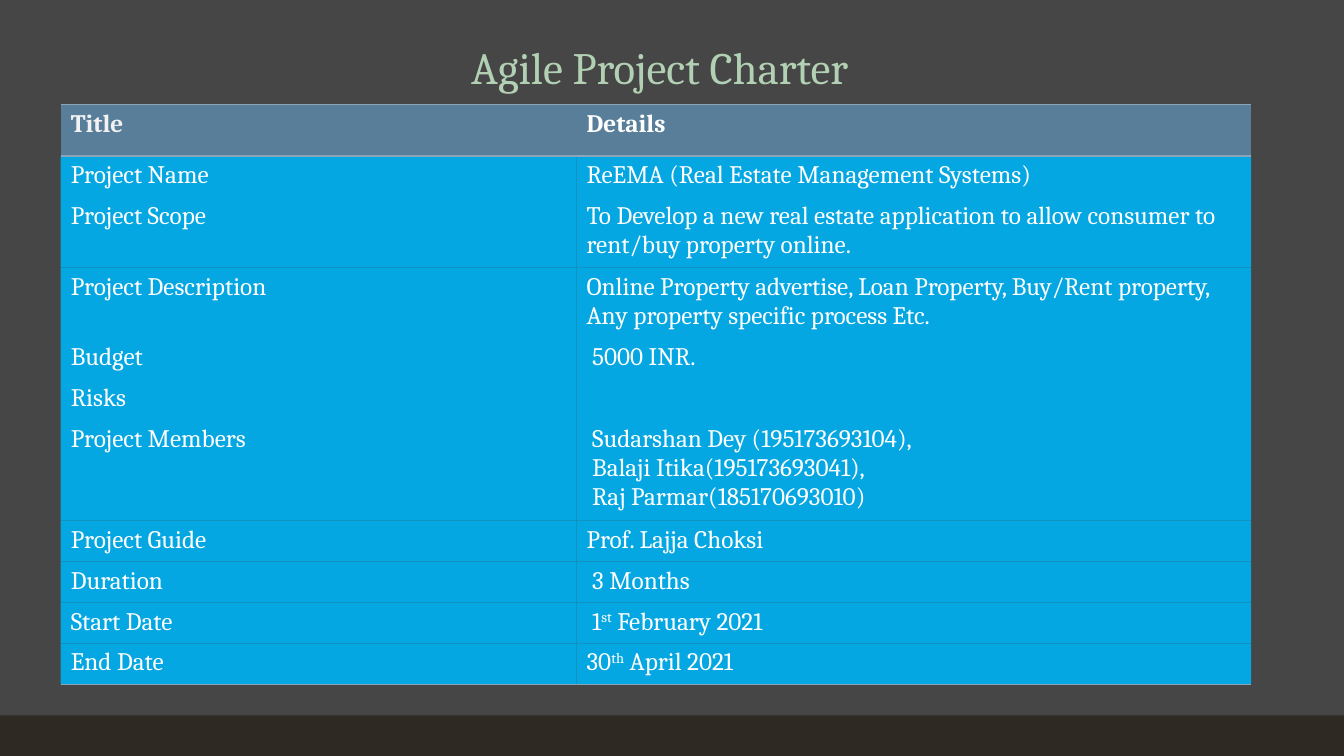
from dataclasses import dataclass

from lxml.etree import SubElement
from pptx import Presentation
from pptx.dml.color import RGBColor
from pptx.enum.shapes import MSO_SHAPE
from pptx.enum.text import MSO_ANCHOR, PP_ALIGN
from pptx.oxml import parse_xml
from pptx.oxml.ns import nsdecls, qn
from pptx.util import Cm, Pt

NO_STYLE_NO_GRID = "{2D5ABB26-0587-4C30-8999-92F81FD0307C}"


@dataclass(frozen=True)
class Theme:
    font: str = "Cambria"
    title_size: int = 32
    body_size: int = 18
    background: str = "464646"
    footer: str = "2E2923"
    title: str = "B2D0B4"
    header_fill: str = "597E99"
    first_header: str = "F2F2F2"
    text: str = "FFFFFF"
    body_fill: str = "00B0F0"
    body_opacity: int = 92
    rule: str = "88A5BA"


# Each detail is a list of paragraphs; each paragraph is a list of runs.
# A run that starts with ^ is superscript.
CHARTER = [
    ("Project Name", [["ReEMA (Real Estate Management Systems)"]]),
    ("Project Scope", [["To Develop a new real estate application to allow "
                        "consumer to rent/buy property online."]]),
    ("Project Description", [["Online Property advertise, Loan Property, Buy/Rent "
                              "property, Any property specific process Etc."]]),
    ("Budget", [[" 5000 INR."]]),
    ("Risks", []),
    ("Project Members", [[" Sudarshan Dey (195173693104),"],
                         [" Balaji Itika(195173693041),"],
                         [" Raj Parmar(185170693010)"]]),
    ("Project Guide", [["Prof. Lajja Choksi"]]),
    ("Duration", [[" 3 Months"]]),
    ("Start Date", [[" 1", "^st", " February 2021"]]),
    ("End Date", [["30", "^th", " April 2021"]]),
]


class Deck:
    def __init__(self, theme):
        self.theme = theme
        self.prs = Presentation()
        self.prs.slide_width, self.prs.slide_height = Cm(33.87), Cm(19.05)
        self.slide = self.prs.slides.add_slide(self.prs.slide_layouts[6])
        self.paint(self.slide.background.fill, theme.background)

    def paint(self, fill, color):
        fill.solid()
        fill.fore_color.rgb = RGBColor.from_string(color)

    def add_run(self, p, text, size, color, bold=False):
        r = p.add_run()
        r.text = text.removeprefix("^")
        r.font.name = self.theme.font
        r.font.size = Pt(size)
        r.font.bold = bold
        r.font.color.rgb = RGBColor.from_string(color)
        if text.startswith("^"):
            r.font._element.set("baseline", "30000")

    def add_bar(self, left, top, width, height, color):
        sp = self.slide.shapes.add_shape(
            MSO_SHAPE.RECTANGLE, Cm(left), Cm(top), Cm(width), Cm(height))
        sp.shadow.inherit = False
        self.paint(sp.fill, color)
        sp.line.fill.background()

    def add_title(self, text, left, top, width, height):
        tf = self.slide.shapes.add_textbox(
            Cm(left), Cm(top), Cm(width), Cm(height)).text_frame
        tf.word_wrap = True
        tf.vertical_anchor = MSO_ANCHOR.MIDDLE
        p = tf.paragraphs[0]
        p.alignment = PP_ALIGN.CENTER
        p.line_spacing = 0.9
        self.add_run(p, text, self.theme.title_size, self.theme.title)

    def fill_cell(self, cell, paragraphs, color, fill, bold=False):
        self.paint(cell.fill, fill)
        tf = cell.text_frame
        for i, runs in enumerate(paragraphs):
            p = tf.add_paragraph() if i else tf.paragraphs[0]
            for text in runs:
                self.add_run(p, text, self.theme.body_size, color, bold)

    def set_opacity(self, cell, percent):
        clr = cell._tc.tcPr.find(qn("a:solidFill"))[0]
        SubElement(clr, qn("a:alpha")).set("val", str(percent * 1000))

    def add_rules(self, cell, sides):
        """Draw 1 pt borders on the given sides, in schema order (T before B)."""
        for i, side in enumerate(sides):
            cell._tc.tcPr.insert(i, parse_xml(
                f'<a:ln{side} {nsdecls("a")} w="12700"><a:solidFill>'
                f'<a:srgbClr val="{self.theme.rule}"/></a:solidFill></a:ln{side}>'))

    def add_charter(self, rows, left, top, widths, header_height, row_height):
        t = self.theme
        height = header_height + row_height * len(rows)
        table = self.slide.shapes.add_table(
            len(rows) + 1, len(widths), Cm(left), Cm(top),
            Cm(sum(widths)), Cm(height)).table
        table.horz_banding = False
        table._tbl.tblPr.find(qn("a:tableStyleId")).text = NO_STYLE_NO_GRID
        for column, width in zip(table.columns, widths):
            column.width = Cm(width)
        for i, row in enumerate(table.rows):
            row.height = Cm(row_height if i else header_height)

        for col, (text, color) in enumerate(
                [("Title", t.first_header), ("Details", t.text)]):
            cell = table.cell(0, col)
            self.fill_cell(cell, [[text]], color, t.header_fill, bold=True)
            self.add_rules(cell, "TB")
        for i, (label, details) in enumerate(rows, 1):
            for col, paragraphs in enumerate([[[label]], details]):
                cell = table.cell(i, col)
                self.fill_cell(cell, paragraphs, t.text, t.body_fill)
                self.set_opacity(cell, t.body_opacity)
                if i == len(rows):
                    self.add_rules(cell, "B")


def main():
    deck = Deck(Theme())
    deck.add_bar(0, 18.03, 33.87, 1.02, deck.theme.footer)
    deck.add_title("Agile Project Charter", 3.53, 0.91, 26.2, 1.7)
    deck.add_charter(CHARTER, 1.53, 2.64, [13, 17], 1.29, 1.03)
    deck.prs.save("out.pptx")


if __name__ == "__main__":
    main()
